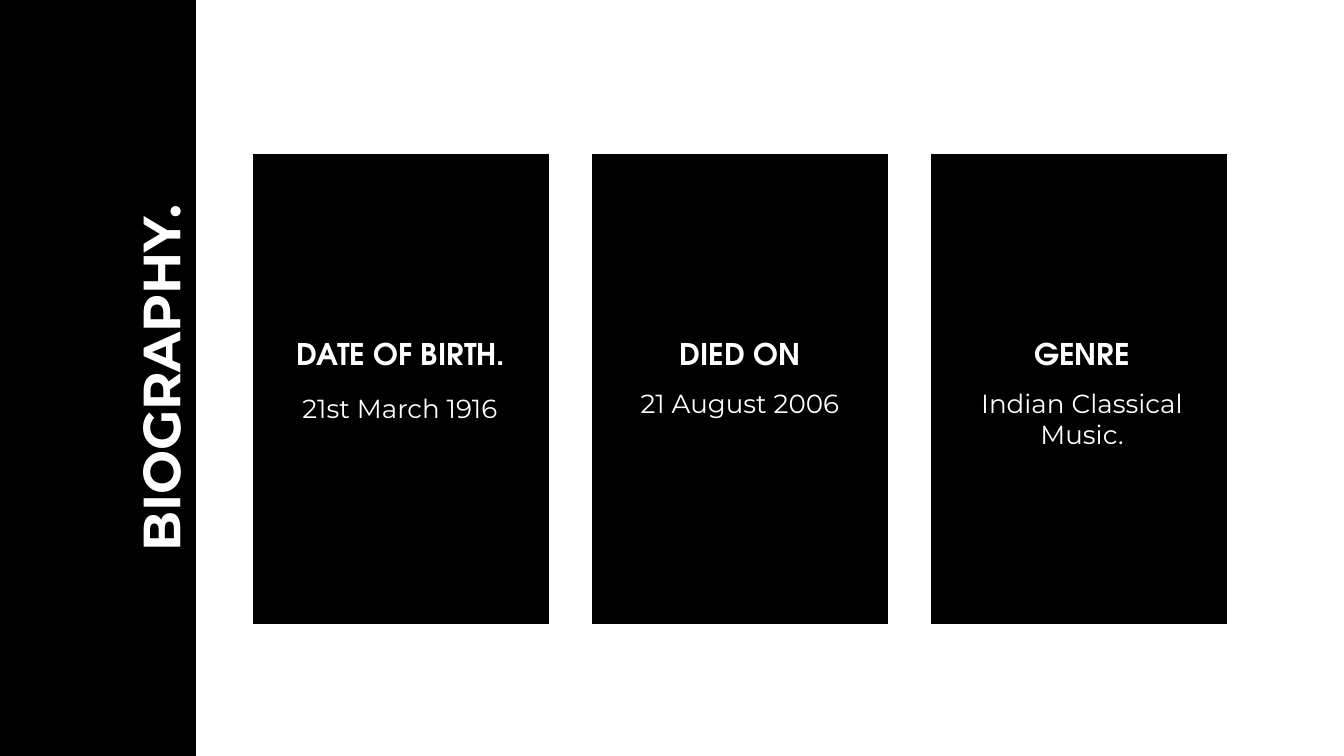
from dataclasses import dataclass

from pptx import Presentation
from pptx.dml.color import RGBColor
from pptx.enum.shapes import MSO_SHAPE
from pptx.enum.text import MSO_ANCHOR, MSO_AUTO_SIZE, PP_ALIGN
from pptx.util import Pt

RECT = MSO_SHAPE.RECTANGLE
TOP = MSO_ANCHOR.TOP
FIXED = MSO_AUTO_SIZE.NONE
CENTER = PP_ALIGN.CENTER
PX = 9144000 / 1344  # EMU in one px


@dataclass(frozen=True)
class Theme:
    dark: RGBColor = RGBColor(0, 0, 0)
    light: RGBColor = RGBColor(255, 255, 255)
    sans: str = "Montserrat"
    display: str = "TeX Gyre Adventor"
    title: int = 28
    head: int = 16
    body: int = 14


theme = Theme()


def panel(box, edge):
    shape = slide.shapes.add_shape(RECT, *[round(n * PX) for n in box])
    shape.shadow.inherit = False
    shape.fill.solid()
    shape.fill.fore_color.rgb = theme.dark
    shape.line.color.rgb = theme.light
    shape.line.width = Pt(edge)


def write(shape, box, text, face, size, bold):
    """Place a text shape and set its centred light text."""
    shape.left, shape.top, shape.width, shape.height = [round(n * PX) for n in box]
    frame = shape.text_frame
    frame.text = text
    frame.word_wrap = True
    frame.auto_size = FIXED
    frame.vertical_anchor = TOP
    frame.margin_left = frame.margin_right = round(13 * PX)
    frame.margin_top = frame.margin_bottom = round(13 * PX)
    para = frame.paragraphs[0]
    para.alignment = CENTER
    font = para.runs[0].font
    font.name, font.size, font.bold = face, Pt(size), bold
    font.color.rgb = theme.light


deck = Presentation()
deck.slide_width, deck.slide_height = round(1344 * PX), round(756 * PX)
slide = deck.slides.add_slide(deck.slide_layouts[5])

# Side band, with the title brought in front of it
panel((-11, -8, 208, 777), 1.5)
title = slide.shapes.title
title.element.getparent().append(title.element)
write(title, (-137, 336, 589, 85), "BIOGRAPHY.", theme.sans, theme.title, True)
title.rotation = 270

for col in range(3):
    panel((250 + 339 * col, 151, 302, 476), 3)

# Heading, its left, width and height; detail, its left and top
facts = [
    ("DATE OF BIRTH.", 250, 302, 73, "21st March 1916", 286, 379),
    ("DIED ON", 626, 228, 46, "21 August 2006", 626, 374),
    ("GENRE", 968, 228, 46, "Indian Classical Music.", 968, 374),
]
for head, left, wide, high, detail, inset, top in facts:
    label = slide.shapes.add_textbox(0, 0, 0, 0)
    write(label, (left, 323, wide, high), head, theme.display, theme.head, True)
    note = slide.shapes.add_textbox(0, 0, 0, 0)
    write(note, (inset, top, 228, 157), detail, theme.sans, theme.body, False)

deck.save("out.pptx")
